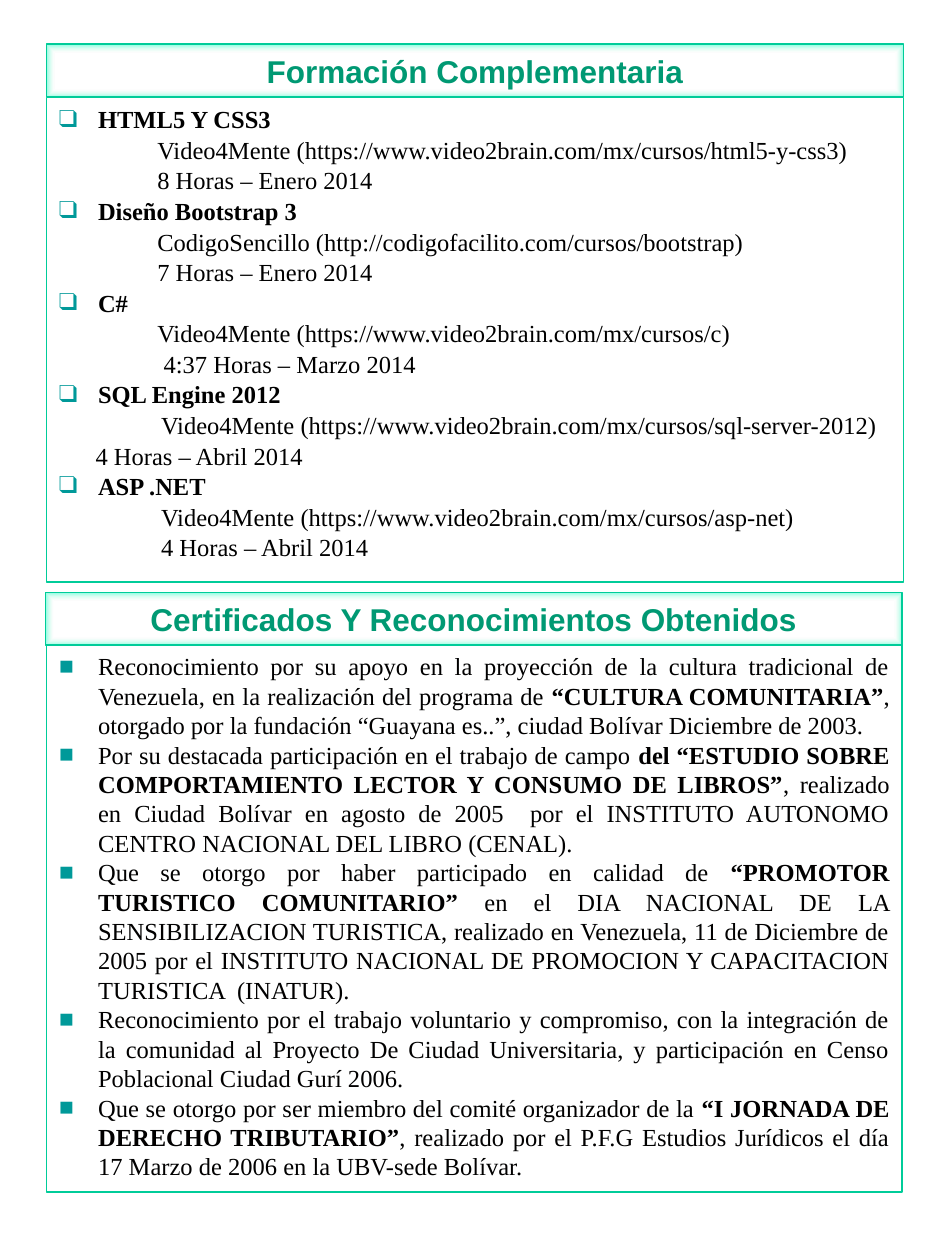
from lxml.etree import SubElement
from pptx import Presentation
from pptx.dml.color import RGBColor
from pptx.enum.shapes import MSO_SHAPE as Shape
from pptx.enum.text import MSO_ANCHOR as Anchor, PP_ALIGN as Align
from pptx.oxml import parse_xml
from pptx.oxml.ns import nsdecls, qn
from pptx.util import Inches, Pt

TITLE = dict(name="Arial", size=Pt(18), bold=True)
BODY = dict(name="Times New Roman", size=Pt(14))
HANG = 0.31

# title, site, hours, indent of site, indent of hours
COURSES = [
    ("HTML5 Y CSS3", "Video4Mente (https://www.video2brain.com/mx/cursos/html5-y-css3)",
     "8 Horas – Enero 2014", 0.78, 0.78),
    ("Diseño Bootstrap 3", "CodigoSencillo (http://codigofacilito.com/cursos/bootstrap)",
     "7 Horas – Enero 2014", 0.78, 0.78),
    ("C#", "Video4Mente (https://www.video2brain.com/mx/cursos/c)",
     "4:37 Horas – Marzo 2014", 0.78, 0.83),
    ("SQL Engine 2012", "Video4Mente (https://www.video2brain.com/mx/cursos/sql-server-2012)",
     "4 Horas – Abril 2014", 0.81, 0.29),
    ("ASP .NET", "Video4Mente (https://www.video2brain.com/mx/cursos/asp-net)",
     "4 Horas – Abril 2014", 0.81, 0.81),
]

# asterisks enclose bold text
AWARDS = [
    "Reconocimiento por su apoyo en la proyección de la cultura tradicional de Venezuela, "
    "en la realización del programa de *“CULTURA COMUNITARIA”*, otorgado por la fundación "
    "“Guayana es..”, ciudad Bolívar Diciembre de 2003.",
    "Por su destacada participación en el trabajo de campo *del “ESTUDIO SOBRE "
    "COMPORTAMIENTO LECTOR Y CONSUMO DE LIBROS”*, realizado en Ciudad Bolívar en agosto "
    "de 2005  por el INSTITUTO AUTONOMO CENTRO NACIONAL DEL LIBRO (CENAL).",
    "Que se otorgo por haber participado en calidad de *“PROMOTOR TURISTICO COMUNITARIO”* "
    "en el DIA NACIONAL DE LA SENSIBILIZACION TURISTICA, realizado en Venezuela, 11 de "
    "Diciembre de 2005 por el INSTITUTO NACIONAL DE PROMOCION Y CAPACITACION TURISTICA  "
    "(INATUR).",
    "Reconocimiento por el trabajo voluntario y compromiso, con la integración de la "
    "comunidad al Proyecto De Ciudad Universitaria, y participación en Censo Poblacional "
    "Ciudad Gurí 2006.",
    "Que se otorgo por ser miembro del comité organizador de la *“I JORNADA DE DERECHO "
    "TRIBUTARIO”*, realizado por el P.F.G Estudios Jurídicos el día 17 Marzo de 2006 en "
    "la UBV-sede Bolívar.",
]

GLOW = f"""<a:gradFill {nsdecls('a')} rotWithShape="1"><a:gsLst>
<a:gs pos="68000"><a:srgbClr val="DEF9EC"><a:alpha val="0"/></a:srgbClr></a:gs>
<a:gs pos="100000"><a:srgbClr val="85FFE0"/></a:gs></a:gsLst>
<a:path path="shape"><a:fillToRect l="50000" t="50000" r="50000" b="50000"/></a:path>
</a:gradFill>"""


def color(code):
    return RGBColor.from_string(code)


class Page:
    def __init__(self, slide):
        self.slide = slide

    def frame(self, left, top, width, height):
        box = self.slide.shapes.add_shape(
            Shape.RECTANGLE, *map(Inches, (left, top, width, height)))
        box.shadow.inherit = False
        box.fill.background()
        box.line.color.rgb = color("00CC99")
        box.line.width = Pt(0.75)
        text = box.text_frame
        text.word_wrap = True
        text.vertical_anchor = Anchor.TOP
        return box

    def line(self, text, words, font, tint, align=Align.LEFT, space=1.0,
             indent=0, mark=None):
        """Add a paragraph; asterisks in words switch bold on and off."""
        first = text.paragraphs[0]
        para = text.add_paragraph() if first.runs else first
        para.alignment = align
        para.line_spacing = space
        props = para._p.get_or_add_pPr()
        props.set("marL", str(Inches(indent)))
        props.set("indent", str(-Inches(indent) if mark else 0))
        if mark:
            shade = SubElement(props, qn("a:buClr"))
            SubElement(shade, qn("a:srgbClr"), val="009999")
            SubElement(props, qn("a:buFont"), typeface="Times New Roman")
            SubElement(props, qn("a:buChar"), char=mark)
        for spot, part in enumerate(words.split("*")):
            if not part:
                continue
            run = para.add_run()
            run.text = part
            for key, value in {"bold": spot % 2 == 1, **font}.items():
                setattr(run.font, key, value)
            run.font.color.rgb = color(tint)

    def header(self, left, top, words):
        box = self.frame(left, top, 6.8, 0.42)
        old = box._element.spPr.find(qn("a:noFill"))
        old.getparent().replace(old, parse_xml(GLOW))
        self.line(box.text_frame, words, TITLE, "009973", Align.CENTER, 1.04)

    def courses(self, *place):
        text = self.frame(*place).text_frame
        for title, site, hours, near, far in COURSES:
            self.line(text, f"*{title}*", BODY, "000000", space=1.04, indent=HANG, mark="❑")
            for words, indent in ((site, near), (hours, far)):
                self.line(text, words, BODY, "000000", space=1.04, indent=indent)

    def awards(self, *place):
        text = self.frame(*place).text_frame
        for words in AWARDS:
            self.line(text, words, BODY, "010000", Align.JUSTIFY, indent=HANG, mark="■")


def main():
    deck = Presentation()
    deck.slide_width, deck.slide_height = Inches(7.5), Inches(10)
    page = Page(deck.slides.add_slide(deck.slide_layouts[6]))
    page.courses(0.37, 0.77, 6.8, 3.85)
    page.header(0.37, 0.35, "Formación Complementaria")
    page.header(0.36, 4.7, "Certificados Y Reconocimientos Obtenidos")
    page.awards(0.37, 5.12, 6.79, 4.34)
    deck.save("out.pptx")


if __name__ == "__main__":
    main()
